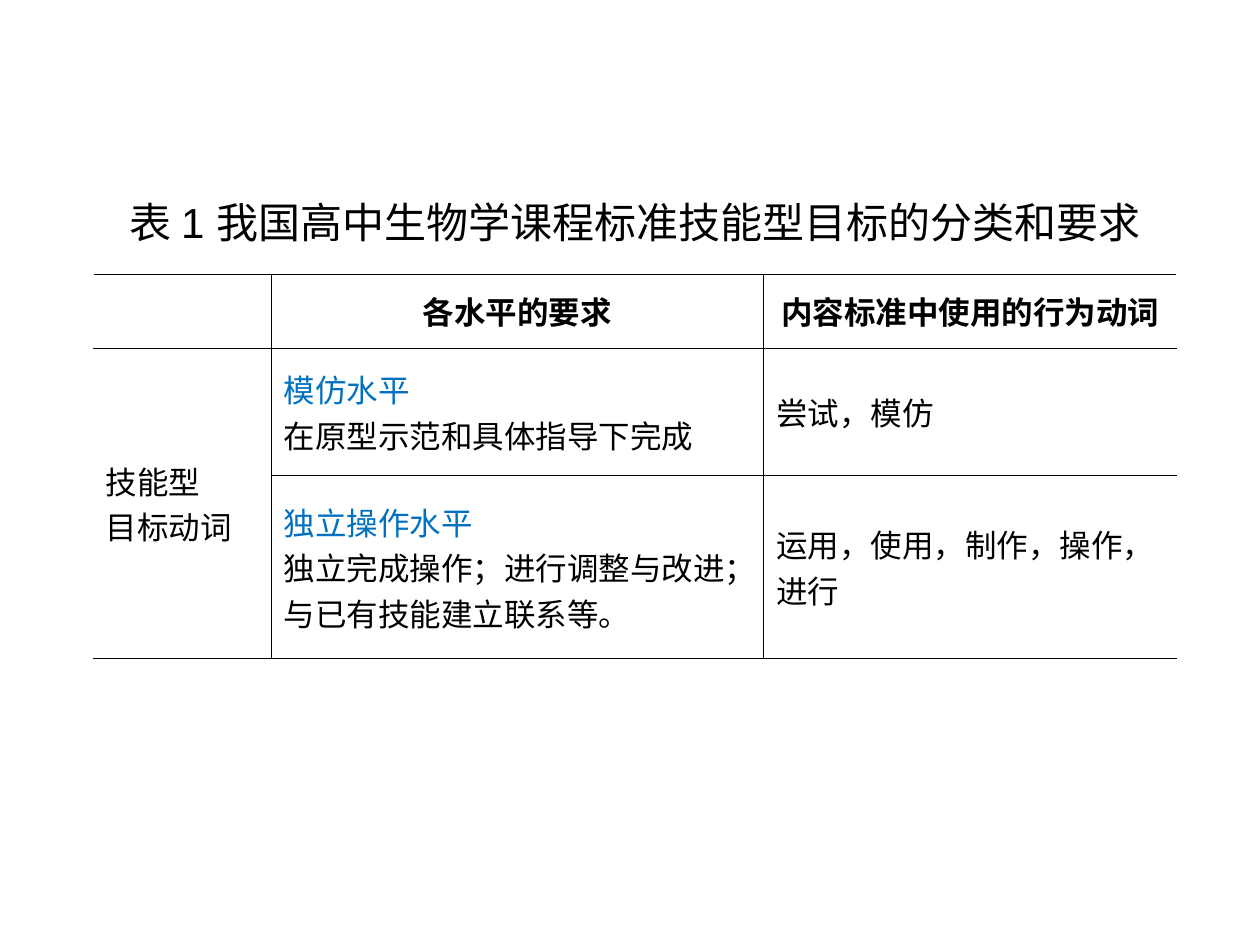
from dataclasses import dataclass

from lxml.etree import SubElement as Sub
from pptx import Presentation
from pptx.dml.color import RGBColor as Rgb
from pptx.enum.text import MSO_ANCHOR as Anchor, MSO_AUTO_SIZE as Auto, PP_ALIGN as Align
from pptx.oxml import parse_xml
from pptx.oxml.ns import nsdecls, qn
from pptx.util import Inches, Pt

WIDE, HIGH = Inches(10), Inches(7.5)
HUES = {"ink": "000000", "blue": "0070C0", "edge": "FFFFFF"}
SANS, LATIN = "Noto Sans CJK SC", "Arial"
COLS, ROWS = (1.41, 3.91, 3.28), (0.59, 1.01, 1.45)
RULE = Pt(0.45)


@dataclass
class Entry:
    row: int
    col: int
    lines: tuple[str, ...]
    head: bool = False
    lead: str = "ink"  # colour of the first line


ENTRIES = (
    Entry(0, 1, ("各水平的要求",), head=True),
    Entry(0, 2, ("内容标准中使用的行为动词",), head=True),
    Entry(1, 0, ("技能型", "目标动词")),
    Entry(1, 1, ("模仿水平", "在原型示范和具体指导下完成"), lead="blue"),
    Entry(1, 2, ("尝试，模仿",)),
    Entry(2, 1, ("独立操作水平", "独立完成操作；进行调整与改进；与已有技能建立联系等。"), lead="blue"),
    Entry(2, 2, ("运用，使用，制作，操作，进行",)),
)


def style(para, size: int, face: str, hue: str, bold: bool = False) -> None:
    font = para.font
    font.size, font.bold, font.name = Pt(size), bold, face
    font.color.rgb = Rgb.from_string(HUES[hue])
    # East Asian letters take their own font
    Sub(para._p.pPr.find(qn("a:defRPr")), qn("a:ea"), typeface=SANS)


def border(cell, col: int) -> None:
    """Rule every side in ink, but hide the table's outer left and right."""
    hues = {
        "L": "edge" if col == 0 else "ink",
        "R": "edge" if col == len(COLS) - 1 else "ink",
        "T": "ink",
        "B": "ink",
    }
    props = cell._tc.get_or_add_tcPr()
    for spot, (side, hue) in enumerate(hues.items()):
        props.insert(spot, parse_xml(
            f'<a:ln{side} {nsdecls("a")} w="{RULE}"><a:solidFill>'
            f'<a:srgbClr val="{HUES[hue]}"/></a:solidFill></a:ln{side}>'))


def write(cell, entry: Entry) -> None:
    cell.text = "\n".join(entry.lines)
    for spot, para in enumerate(cell.text_frame.paragraphs):
        para.alignment = Align.CENTER if entry.head else Align.LEFT
        style(para, 18, SANS, "ink" if spot else entry.lead, entry.head)


def main() -> None:
    deck = Presentation()
    deck.slide_width, deck.slide_height = WIDE, HIGH
    slide = deck.slides.add_slide(deck.slide_layouts[5])

    # Title
    title = slide.shapes.title
    title.left, title.top = int(WIDE * 0.059), int(HIGH * 0.175)
    title.width, title.height = int(WIDE * 0.89), int(HIGH * 0.093)
    frame = title.text_frame
    frame.text = "表 1 我国高中生物学课程标准技能型目标的分类和要求"
    frame.word_wrap, frame.auto_size = True, Auto.NONE
    frame.vertical_anchor = Anchor.TOP
    para = frame.paragraphs[0]
    para.alignment, para.line_spacing = Align.CENTER, 1.5
    style(para, 24, LATIN, "ink")

    # Table grid
    table = slide.shapes.add_table(
        len(ROWS), len(COLS), int(WIDE * 0.074), int(HIGH * 0.29),
        Inches(sum(COLS)), Inches(sum(ROWS))).table
    table.first_row = table.horz_banding = False
    for col, width in zip(table.columns, COLS):
        col.width = Inches(width)
    for row, height in zip(table.rows, ROWS):
        row.height = Inches(height)
        for col, cell in enumerate(row.cells):
            cell.vertical_anchor = Anchor.MIDDLE
            cell.fill.background()
            border(cell, col)
    table.cell(1, 0).merge(table.cell(2, 0))

    # Table text
    for entry in ENTRIES:
        write(table.cell(entry.row, entry.col), entry)

    deck.save("out.pptx")


if __name__ == "__main__":
    main()
